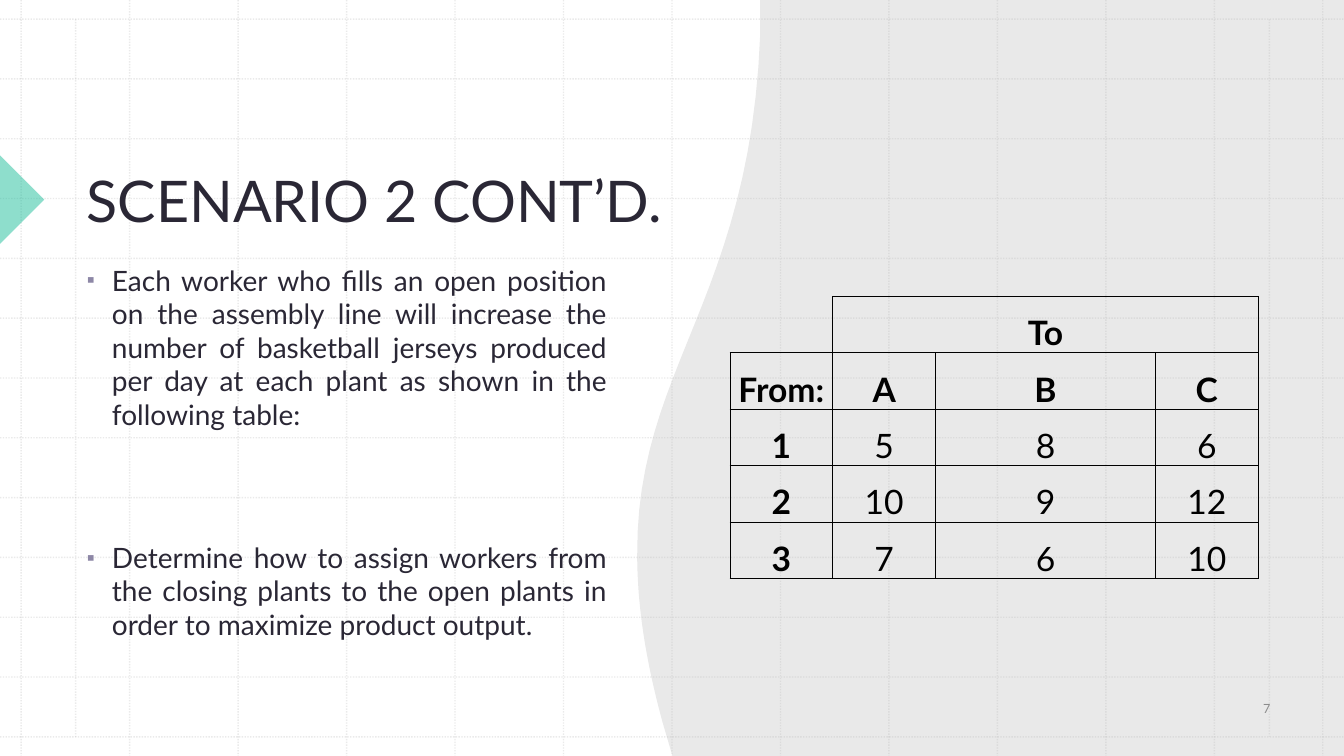
from lxml.etree import SubElement
from pptx import Presentation
from pptx.dml.color import RGBColor
from pptx.enum.dml import MSO_LINE
from pptx.enum.shapes import MSO_CONNECTOR, MSO_SHAPE
from pptx.enum.text import MSO_ANCHOR, MSO_AUTO_SIZE, PP_ALIGN
from pptx.oxml import parse_xml
from pptx.oxml.ns import nsdecls, qn
from pptx.util import Inches, Pt

WIDTH, HEIGHT = 13.33, 7.5
BULLETS = [
    ("Each worker who fills an open position on the assembly line will increase "
     "the number of basketball jerseys produced per day at each plant as shown "
     "in the following table:", 10),
    ("Determine how to assign workers from the closing plants to the open plants "
     "in order to maximize product output.", 78),
]
OUTPUT_TABLE = [
    ["", "To", "", ""],
    ["From:", "A", "B", "C"],
    ["1", "5", "8", "6"],
    ["2", "10", "9", "12"],
    ["3", "7", "6", "10"],
]
COLUMN_WIDTHS = [1.02, 1.02, 2.18, 1.02]
ROW_HEIGHT = 0.56
# Edge of the grey panel: two cubic curves, each with four control points
PANEL_CURVES = [
    [(6.57, 7.16), (6.39, 6.5), (6.32, 5.97), (6.32, 5.5)],
    [(6.32, 5.5), (6.31, 3.65), (7.44, 2.98), (7.54, 0.34)],
]


def color(hex_string):
    return RGBColor.from_string(hex_string)


def curve_points(controls, steps=24):
    """Points along a cubic Bezier curve, without its start."""
    points = []
    for step in range(1, steps + 1):
        t = step / steps
        weights = [(1 - t) ** 3, 3 * t * (1 - t) ** 2, 3 * t * t * (1 - t), t ** 3]
        points.append(tuple(sum(weight * point[axis] for weight, point in zip(weights, controls))
                            for axis in (0, 1)))
    return points


def set_opacity(shape, percent):
    for element in shape.element.iter(qn("a:srgbClr")):
        SubElement(element, qn("a:alpha"), val=str(percent * 1000))


class SlideBuilder:
    font = "Lato"
    ink = "2A2735"
    black = "000000"
    bullet_color = "8D87A6"
    grid_color = "BCBCBC"
    panel_color = "E9E9E9"
    accent = "1EBE9B"
    muted = "8C8C8C"

    def __init__(self, presentation):
        self.slide = presentation.slides.add_slide(presentation.slide_layouts[1])
        self.shapes = self.slide.shapes

    def fill(self, shape, hex_string):
        shape.shadow.inherit = False
        shape.fill.solid()
        shape.fill.fore_color.rgb = color(hex_string)
        shape.line.fill.background()

    def style(self, paragraph, size, hex_string, align=PP_ALIGN.LEFT, bold=False):
        paragraph.alignment = align
        font = paragraph.font
        font.name, font.size, font.bold = self.font, Pt(size), bold
        font.color.rgb = color(hex_string)

    def panel(self):
        points = [(6.67, HEIGHT), PANEL_CURVES[0][0]]
        for controls in PANEL_CURVES:
            points += curve_points(controls)
        points += [(7.54, 0), (WIDTH, 0), (WIDTH, HEIGHT)]
        start, *others = [(Inches(x), Inches(y)) for x, y in points]
        builder = self.shapes.build_freeform(*start)
        builder.add_line_segments(others, close=True)
        self.fill(builder.convert_to_shape(), self.panel_color)

    def grid_line(self, x1, y1, x2, y2):
        line = self.shapes.add_connector(
            MSO_CONNECTOR.STRAIGHT, Inches(x1), Inches(y1), Inches(x2), Inches(y2))
        line.line.color.rgb = color(self.grid_color)
        line.line.width = Pt(1)
        line.line.dash_style = MSO_LINE.ROUND_DOT
        set_opacity(line, 30)
        SubElement(line.element.spPr, qn("a:effectLst"))

    def grid(self, left=0.21, right=13.12, top=0.19, bottom=7.31, gaps=12):
        for index in range(gaps + 1):
            x = left + (right - left) * index / gaps
            y = top + (bottom - top) * index / gaps
            self.grid_line(x, 0, x, HEIGHT)
            self.grid_line(0, y, WIDTH, y)
        for margin in (0.75, 12.59):
            self.grid_line(margin, top, margin, bottom)

    def marker(self):
        triangle = self.shapes.add_shape(
            MSO_SHAPE.RIGHT_TRIANGLE, Inches(-0.31), Inches(1.67), Inches(0.62), Inches(0.62))
        triangle.rotation = 225
        self.fill(triangle, self.accent)
        set_opacity(triangle, 50)

    def place(self, shape, left, top, width, height, anchor):
        """Position a text shape, bring it to the front and set its frame."""
        shape.left, shape.top = Inches(left), Inches(top)
        shape.width, shape.height = Inches(width), Inches(height)
        shape.element.getparent().append(shape.element)
        frame = shape.text_frame
        frame.word_wrap = True
        frame.auto_size = MSO_AUTO_SIZE.NONE
        frame.vertical_anchor = anchor
        return frame

    def title(self, text):
        frame = self.place(self.shapes.title, 0.76, 0.79, 5.91, 1.58, MSO_ANCHOR.BOTTOM)
        frame.margin_right = 0
        frame.text = text
        self.style(frame.paragraphs[0], 41, self.ink)

    def bullets(self, items):
        frame = self.place(self.slide.placeholders[1], 0.76, 2.56, 5.36, 4.15, MSO_ANCHOR.TOP)
        frame.text = "\n".join(text for text, _ in items)
        for paragraph, (_, space_before) in zip(frame.paragraphs, items):
            self.style(paragraph, 20, self.ink, PP_ALIGN.JUSTIFY)
            paragraph.space_before = Pt(space_before)
            properties = paragraph._p.get_or_add_pPr()
            properties.set("marL", str(Inches(0.25)))
            properties.set("indent", str(Inches(-0.25)))
            bullet = SubElement(properties, qn("a:buClr"))
            SubElement(bullet, qn("a:srgbClr"), val=self.bullet_color)
            SubElement(properties, qn("a:buSzPct"), val="75000")
            SubElement(properties, qn("a:buFont"), typeface=self.font)
            SubElement(properties, qn("a:buChar"), char="▪")
            # Bullet settings must come before the default run properties
            properties.append(properties.find(qn("a:defRPr")))

    def borders(self, cell, hidden=""):
        """Draw thin lines on all sides but the hidden ones (letters of LRTB)."""
        properties = cell._tc.get_or_add_tcPr()
        for index, side in enumerate("LRTB"):
            paint = ("<a:noFill/>" if side in hidden else
                     f'<a:solidFill><a:srgbClr val="{self.black}"/></a:solidFill>')
            properties.insert(index, parse_xml(
                f'<a:ln{side} {nsdecls("a")} w="{Pt(0.5)}">{paint}</a:ln{side}>'))

    def table(self, rows, left, top):
        table = self.shapes.add_table(
            len(rows), len(COLUMN_WIDTHS), Inches(left), Inches(top),
            Inches(sum(COLUMN_WIDTHS)), Inches(ROW_HEIGHT * len(rows))).table
        table.first_row = table.horz_banding = False
        for column, width in zip(table.columns, COLUMN_WIDTHS):
            column.width = Inches(width)
        for row_index, values in enumerate(rows):
            table.rows[row_index].height = Inches(ROW_HEIGHT)
            for column_index, value in enumerate(values):
                cell = table.cell(row_index, column_index)
                cell.text = value
                cell.vertical_anchor = MSO_ANCHOR.BOTTOM
                cell.margin_left = cell.margin_right = cell.margin_top = Inches(0.01)
                cell.margin_bottom = 0
                cell.fill.background()
                is_header = row_index < 2 or column_index == 0
                self.style(cell.text_frame.paragraphs[0], 24, self.black,
                           PP_ALIGN.CENTER, is_header)
                self.borders(cell, "LT" if row_index == column_index == 0 else "")
        table.cell(0, 1).merge(table.cell(0, 3))

    def page_number(self, text):
        box = self.shapes.add_textbox(0, 0, 0, 0)
        frame = self.place(box, 12.03, 6.8, 1.07, 0.46, MSO_ANCHOR.MIDDLE)
        frame.text = text
        self.style(frame.paragraphs[0], 9, self.muted, PP_ALIGN.CENTER)


def main():
    presentation = Presentation()
    presentation.slide_width, presentation.slide_height = Inches(WIDTH), Inches(HEIGHT)
    builder = SlideBuilder(presentation)
    builder.panel()
    builder.grid()
    builder.marker()
    builder.title("SCENARIO 2 CONT’D.")
    builder.bullets(BULLETS)
    builder.table(OUTPUT_TABLE, 7.24, 2.94)
    builder.page_number("7")
    presentation.save("out.pptx")


if __name__ == "__main__":
    main()
